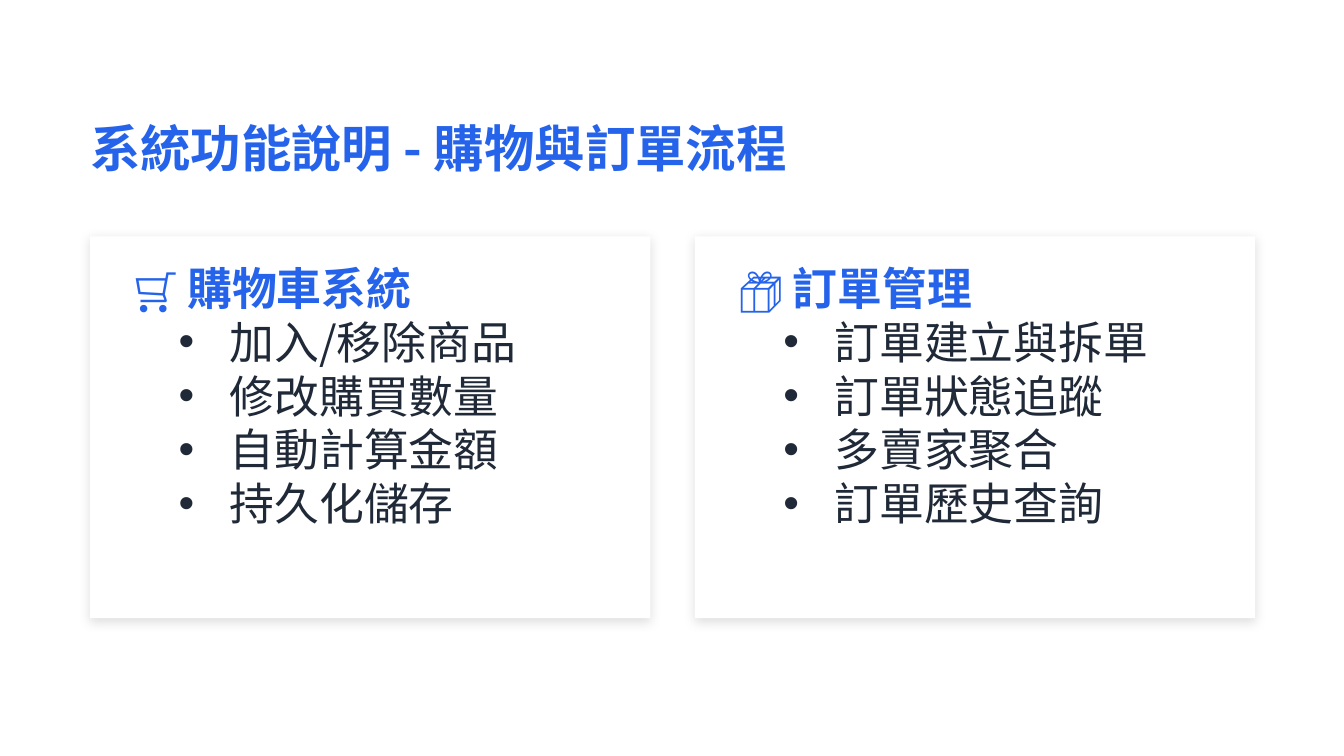
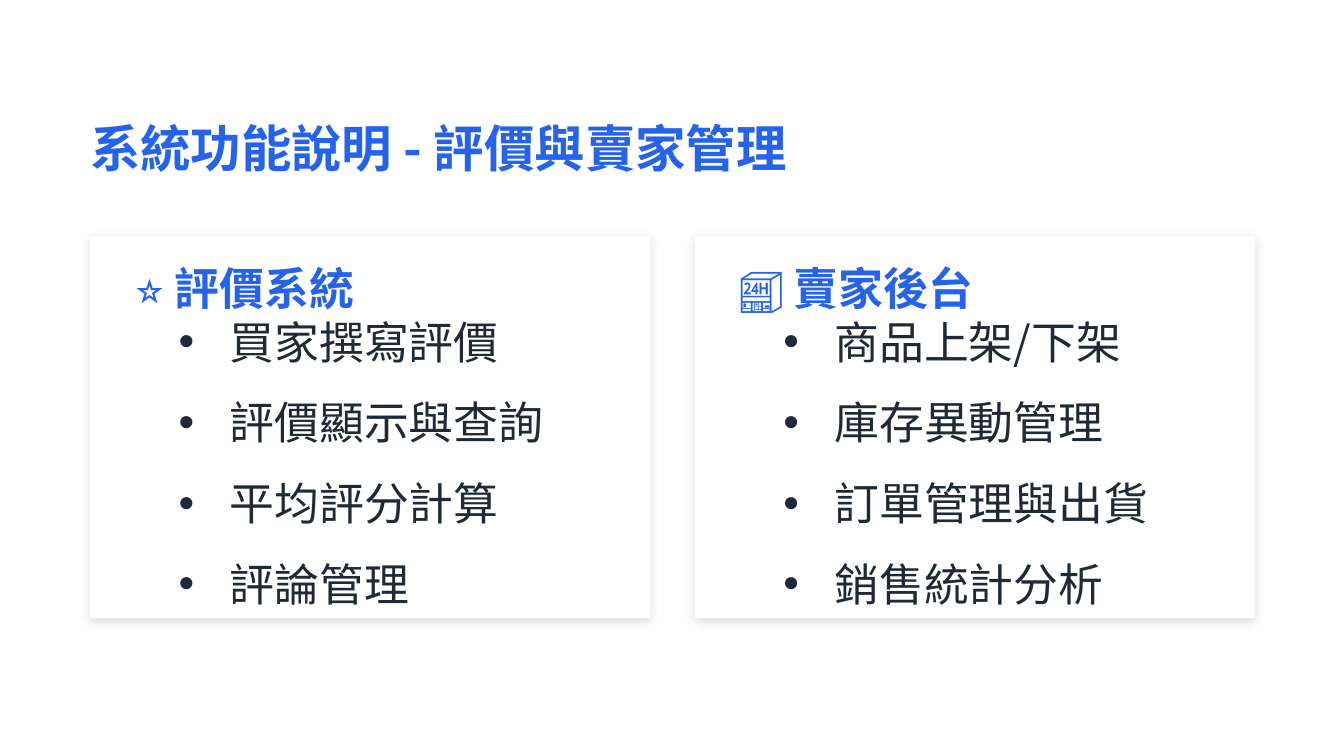
from lxml.etree import SubElement
from pptx import Presentation
from pptx.dml.color import RGBColor
from pptx.enum.shapes import MSO_SHAPE
from pptx.oxml import parse_xml
from pptx.oxml.ns import nsdecls, qn
from pptx.util import Inches, Pt

BLUE = RGBColor(0x25, 0x63, 0xEB)
INK = RGBColor(0x1F, 0x29, 0x37)
WHITE = RGBColor(0xFF, 0xFF, 0xFF)
FONT = "Noto Sans CJK SC"
BULLET_FONT = "Arial"

CARD_LEFT, CARD_TOP = 0.67, 1.76
CARD_WIDTH, CARD_HEIGHT = 4.17, 2.84
CARD_STEP = 4.5
BULLET_INDENT = Inches(0.38)
BULLET_LINE = 14.4

# Title, blank lines between bullets, cards as (heading, bullets)
SLIDES = [
    ("系統功能說明 - 購物與訂單流程", 1, [
        ("🛒 購物車系統",
         ["加入/移除商品", "修改購買數量", "自動計算金額", "持久化儲存"]),
        ("📦 訂單管理",
         ["訂單建立與拆單", "訂單狀態追蹤", "多賣家聚合", "訂單歷史查詢"]),
    ]),
    ("系統功能說明 - 評價與賣家管理", 2, [
        ("⭐ 評價系統",
         ["買家撰寫評價", "評價顯示與查詢", "平均評分計算", "評論管理"]),
        ("🏪 賣家後台",
         ["商品上架/下架", "庫存異動管理", "訂單管理與出貨", "銷售統計分析"]),
    ]),
]


def add_text(slide, lines, left, top, width, height, size, line_spacing,
             color=BLUE, bold=True):
    """Add a text box without margins, one paragraph per line; return its paragraphs."""
    box = slide.shapes.add_textbox(Inches(left), Inches(top), Inches(width), Inches(height))
    frame = box.text_frame
    frame.word_wrap = True
    frame.margin_left = frame.margin_right = 0
    frame.margin_top = frame.margin_bottom = 0
    frame.text = "\n".join(lines)
    for paragraph in frame.paragraphs:
        paragraph.line_spacing = Pt(line_spacing)
        font = paragraph.font
        font.name, font.size, font.bold = FONT, Pt(size), bold
        font.color.rgb = color
        defaults = paragraph._p.pPr.find(qn("a:defRPr"))
        SubElement(defaults, qn("a:ea"), typeface=FONT)
    return frame.paragraphs


def add_bullets(slide, items, left, blank_lines):
    paragraphs = add_text(slide, items, left, 2.54, 3.17, 1.72, 24, BULLET_LINE,
                          color=INK, bold=False)
    for paragraph in paragraphs:
        properties = paragraph._p.pPr
        properties.set("marL", str(BULLET_INDENT))
        properties.set("indent", str(-BULLET_INDENT))
        defaults = properties.find(qn("a:defRPr"))
        for mark in (f'buFont {nsdecls("a")} typeface="{BULLET_FONT}"',
                     f'buChar {nsdecls("a")} char="•"'):
            defaults.addprevious(parse_xml(f"<a:{mark}/>"))
    for paragraph in paragraphs[:-1]:
        paragraph.space_after = Pt(BULLET_LINE * blank_lines)


def add_card(slide, left):
    """Add a white panel with a soft shadow below it."""
    card = slide.shapes.add_shape(MSO_SHAPE.RECTANGLE, Inches(left), Inches(CARD_TOP),
                                  Inches(CARD_WIDTH), Inches(CARD_HEIGHT))
    card.fill.solid()
    card.fill.fore_color.rgb = WHITE
    card.line.fill.background()
    card.shadow.inherit = False
    effects = card._element.spPr.find(qn("a:effectLst"))
    effects.append(parse_xml(
        f'<a:outerShdw {nsdecls("a")} blurRad="{Pt(6)}" dist="{Pt(1.5)}" dir="5400000"'
        ' algn="bl" rotWithShape="0">'
        '<a:srgbClr val="000000"><a:alpha val="12000"/></a:srgbClr></a:outerShdw>'))


def add_feature_slide(presentation, title, blank_lines, cards):
    slide = presentation.slides.add_slide(presentation.slide_layouts[6])
    slide.background.fill.solid()
    slide.background.fill.fore_color.rgb = WHITE
    lefts = [CARD_LEFT + column * CARD_STEP for column in range(len(cards))]
    for left in lefts:
        add_card(slide, left)
    add_text(slide, [title], CARD_LEFT, 0.67, 8.84, 0.49, 27, 46.8)
    for left, (heading, items) in zip(lefts, cards):
        add_text(slide, [heading], left + 0.33, 2.09, 3.57, 0.28, 24, 18)
        add_bullets(slide, items, left + 0.66, blank_lines)


def main():
    presentation = Presentation()
    presentation.slide_width = Inches(10)
    presentation.slide_height = Inches(10 * 9 / 16)
    for title, blank_lines, cards in SLIDES:
        add_feature_slide(presentation, title, blank_lines, cards)
    presentation.save("out.pptx")


if __name__ == "__main__":
    main()
